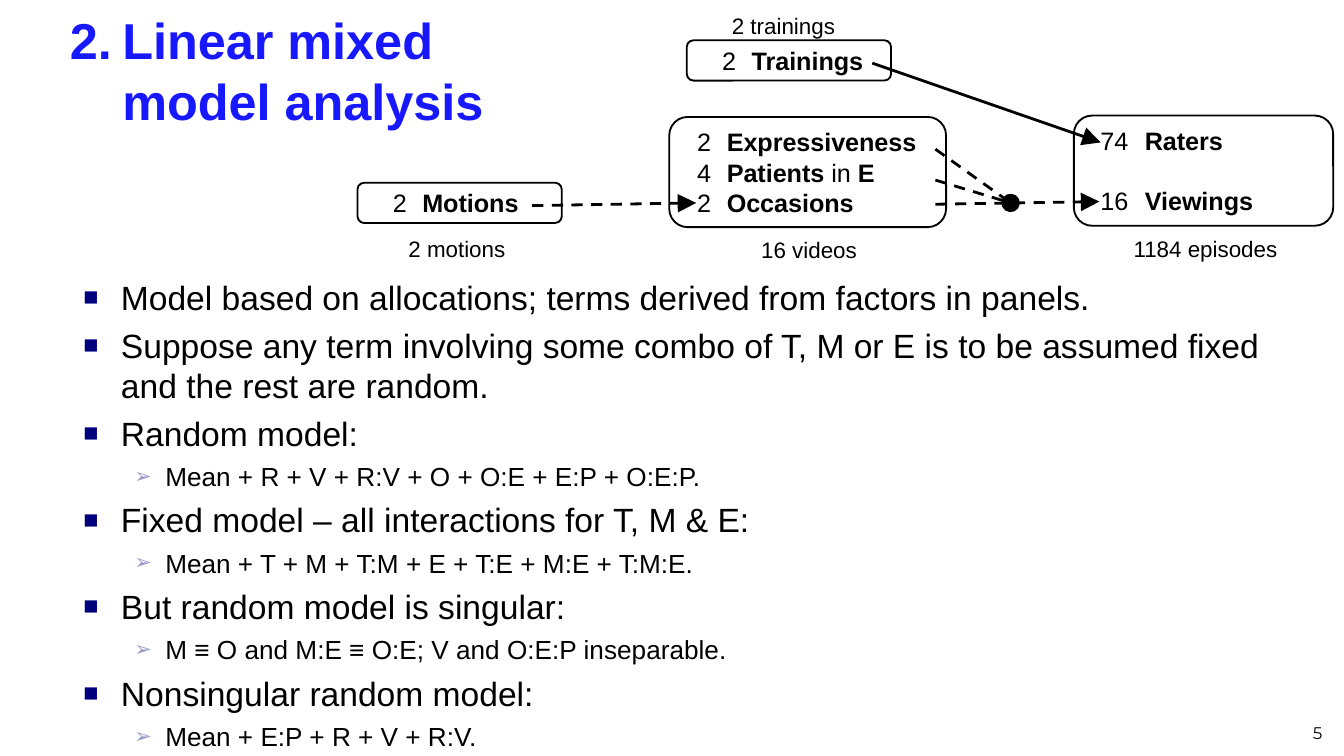
from lxml.etree import SubElement
from pptx import Presentation
from pptx.dml.color import RGBColor
from pptx.enum.dml import MSO_LINE_DASH_STYLE as DASH
from pptx.enum.shapes import MSO_CONNECTOR, MSO_SHAPE
from pptx.enum.text import MSO_ANCHOR, PP_ALIGN
from pptx.oxml.ns import qn
from pptx.util import Inches, Pt

BLACK = RGBColor(0x00, 0x00, 0x00)
BLUE = RGBColor(0x18, 0x18, 0xFF)
NAVY = RGBColor(0x00, 0x00, 0x7D)
LAVENDER = RGBColor(0x99, 0x99, 0xCC)

deck = Presentation()
deck.slide_width = Inches(10)
deck.slide_height = deck.slide_width * 9 // 16
page = deck.slides.add_slide(deck.slide_layouts[6])


def add_text_box(left, top, width, height, anchor=MSO_ANCHOR.TOP, inset_x=0.07, inset_y=0.04):
    box = page.shapes.add_textbox(Inches(left), Inches(top), Inches(width), Inches(height))
    frame = box.text_frame
    frame.word_wrap = True
    frame.vertical_anchor = anchor
    frame.margin_left = frame.margin_right = Inches(inset_x)
    frame.margin_top = frame.margin_bottom = Inches(inset_y)
    return frame


def add_span(para, text, size, color=BLACK, bold=False, font="Arial", indent=None):
    if indent:
        props = para._p.get_or_add_pPr()
        props.set("marL", str(Inches(indent[0])))
        props.set("indent", str(Inches(indent[1])))
    span = para.add_run()
    span.text = text
    span.font.name = font
    span.font.size = Pt(size)
    span.font.bold = bold
    span.font.color.rgb = color


title = add_text_box(0.45, 0.1, 3.88, 0.84, MSO_ANCHOR.MIDDLE)
add_span(title.paragraphs[0], "2.\tLinear mixed model analysis", 27, BLUE, True, indent=(0.39, -0.39))

number = add_text_box(7.58, 5.19, 2.33, 0.38, MSO_ANCHOR.BOTTOM)
number.paragraphs[0].alignment = PP_ALIGN.RIGHT
add_span(number.paragraphs[0], "5", 9, font="Montserrat")

LEVELS = [
    (18, (0.28, -0.28), "■", NAVY, 75),
    (14, (0.61, -0.23), "➢", LAVENDER, 80),
]
points = [
    (0, "Model based on allocations; terms derived from factors in panels."),
    (0, "Suppose any term involving some combo of T, M or E is to be assumed fixed and the rest are random."),
    (0, "Random model:"),
    (1, "Mean + R + V + R:V + O + O:E + E:P + O:E:P."),
    (0, "Fixed model – all interactions for T, M & E:"),
    (1, "Mean + T + M + T:M + E + T:E + M:E + T:M:E."),
    (0, "But random model is singular:"),
    (1, "M ≡ O and M:E ≡ O:E; V and O:E:P inseparable."),
    (0, "Nonsingular random model:"),
    (1, "Mean + E:P + R + V + R:V."),
]
body = add_text_box(0.55, 2.02, 9.21, 3.66)
for index, (level, text) in enumerate(points):
    size, indent, mark, mark_color, percent = LEVELS[level]
    para = body.add_paragraph() if index else body.paragraphs[0]
    para.level = level
    para.space_before = Pt(4)
    add_span(para, text, size, indent=indent)
    props = para._p.get_or_add_pPr()
    SubElement(SubElement(props, qn("a:buClr")), qn("a:srgbClr"), val=str(mark_color))
    SubElement(props, qn("a:buSzPct"), val=str(percent * 1000))
    SubElement(props, qn("a:buFont"), typeface="Arial")
    SubElement(props, qn("a:buChar"), char=mark)

panels = [
    (2.66, 1.36, 1.52, 0.3, (0.37, -0.22), 0, [["2\t", "*Motions"]]),
    (4.98, 0.87, 2.06, 0.82, (0.29, -0.22), 0,
     [["2\t", "*Expressiveness"], ["4\t", "*Patients", " in ", "*E"], ["2\t", "*Occasions"]]),
    (7.99, 0.86, 1.93, 0.82, (0.39, -0.33), 16, [["74\t", "*Raters"], ["16\t", "*Viewings"]]),
    (5.11, 0.3, 1.52, 0.3, (0.37, -0.22), 0, [["2\t", "*Trainings"]]),
]
for left, top, width, height, indent, gap, factors in panels:
    panel = page.shapes.add_shape(
        MSO_SHAPE.ROUNDED_RECTANGLE, Inches(left), Inches(top), Inches(width), Inches(height))
    panel.shadow.inherit = False
    panel.fill.background()
    panel.line.color.rgb = BLACK
    panel.line.width = Pt(1)
    frame = panel.text_frame
    frame.word_wrap = False
    frame.vertical_anchor = MSO_ANCHOR.MIDDLE
    for index, parts in enumerate(factors):
        para = frame.add_paragraph() if index else frame.paragraphs[0]
        para.alignment = PP_ALIGN.LEFT
        if index and gap:
            para.space_before = Pt(gap)
        for part in parts:
            add_span(para, part.lstrip("*"), 13.5, bold=part.startswith("*"), indent=indent)

captions = [
    (2.62, 1.7, "2 motions"),
    (5.24, 1.71, "16 videos"),
    (8.19, 1.7, "1184 episodes"),
    (5.05, 0.04, "2 trainings"),
]
for left, top, text in captions:
    para = add_text_box(left, top, 1.56, 0.3, inset_x=0.1, inset_y=0.05).paragraphs[0]
    para.alignment = PP_ALIGN.CENTER
    add_span(para, text, 12)

arrows = [
    (3.96, 1.53, 5.18, 1.51, True, "triangle"),
    (6.49, 0.47, 8.19, 1.06, False, "triangle"),
    (6.96, 1.52, 8.18, 1.5, True, "triangle"),
    (6.96, 1.11, 7.52, 1.51, True, "oval"),
    (6.96, 1.34, 7.52, 1.51, True, None),
]
for x1, y1, x2, y2, dashed, head in arrows:
    arrow = page.shapes.add_connector(
        MSO_CONNECTOR.STRAIGHT, Inches(x1), Inches(y1), Inches(x2), Inches(y2))
    arrow.line.color.rgb = BLACK
    arrow.line.width = Pt(1.5)
    if dashed:
        arrow.line.dash_style = DASH.DASH
    if head:
        SubElement(arrow.line._get_or_add_ln(), qn("a:tailEnd"), type=head, w="lg", len="lg")
    SubElement(arrow._element.spPr, qn("a:effectLst"))

deck.save("out.pptx")
